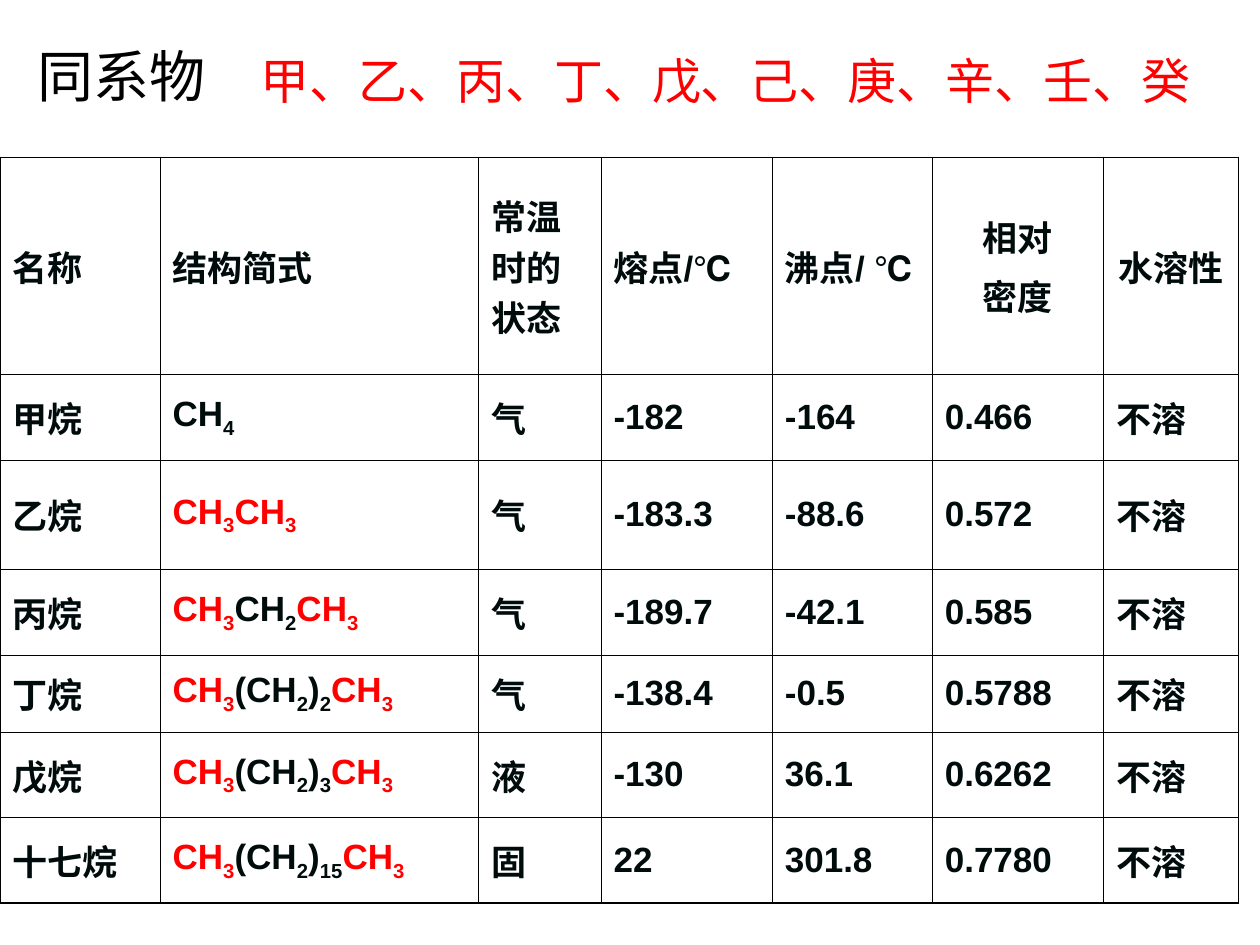
from dataclasses import dataclass
from itertools import groupby

from lxml import etree
from pptx import Presentation
from pptx.dml.color import RGBColor
from pptx.enum.text import MSO_ANCHOR, MSO_AUTO_SIZE, PP_ALIGN
from pptx.oxml.ns import qn
from pptx.util import Inches, Pt

LEFT, CENTER = PP_ALIGN.LEFT, PP_ALIGN.CENTER
TOP, MIDDLE = MSO_ANCHOR.TOP, MSO_ANCHOR.MIDDLE
NO_AUTOFIT = MSO_AUTO_SIZE.NONE
TITLE_ONLY = 5


@dataclass(frozen=True)
class Theme:
    black: str = "000000"
    ink: str = "000C0C"
    red: str = "FF0000"
    latin: str = "Arial"
    chinese: str = "Noto Sans CJK SC"
    title_size: int = 32
    stems_size: int = 28
    cell_size: int = 20
    outer_line: float = 1.08
    inner_line: float = 0.45


THEME = Theme()

# Table grid, in inches
COLUMNS = [1.27, 2.53, 0.97, 1.36, 1.27, 1.36, 1.07]
ROWS = [1.72, 0.68, 0.87, 0.68, 0.61, 0.68, 0.68]
FORMULA_COLUMN = 1
CENTERED_HEADINGS = (5, 6)

HEADINGS = ["名称", "结构简式", "常温时的状态", "熔点/℃", "沸点/ ℃", "相对\n密度", "水溶性"]
# Each formula is a list of (text, colour); its digits become subscripts
METHYL = ("CH3", THEME.red)
ALKANES = [
    ["甲烷", [("CH4", THEME.ink)], "气", "-182", "-164", "0.466", "不溶"],
    ["乙烷", [METHYL, METHYL], "气", "-183.3", "-88.6", "0.572", "不溶"],
    ["丙烷", [METHYL, ("CH2", THEME.ink), METHYL], "气", "-189.7", "-42.1", "0.585", "不溶"],
    ["丁烷", [METHYL, ("(CH2)2", THEME.ink), METHYL], "气", "-138.4", "-0.5", "0.5788", "不溶"],
    ["戊烷", [METHYL, ("(CH2)3", THEME.ink), METHYL], "液", "-130", "36.1", "0.6262", "不溶"],
    ["十七烷", [METHYL, ("(CH2)15", THEME.ink), METHYL], "固", "22", "301.8", "0.7780", "不溶"],
]


def add_run(paragraph, text, size, color, latin=THEME.latin, bold=False, subscript=False):
    run = paragraph.add_run()
    run.text = text
    run.font.size = Pt(size)
    run.font.bold = bold
    run.font.color.rgb = RGBColor.from_string(color)
    run.font.name = latin
    properties = run._r.get_or_add_rPr()
    etree.SubElement(properties, qn("a:ea"), typeface=THEME.chinese)
    if subscript:
        properties.set("baseline", "-25000")


def add_formula(paragraph, parts):
    for text, color in parts:
        for is_digit, characters in groupby(text, str.isdigit):
            add_run(paragraph, "".join(characters), THEME.cell_size, color,
                    bold=True, subscript=is_digit)


def set_borders(cell, row, column):
    edges = {
        "a:lnL": column == 0,
        "a:lnR": column == len(COLUMNS) - 1,
        "a:lnT": row == 0,
        "a:lnB": row == len(ROWS) - 1,
    }
    properties = cell._tc.get_or_add_tcPr()
    for tag, is_outer in edges.items():
        width = THEME.outer_line if is_outer else THEME.inner_line
        line = etree.SubElement(properties, qn(tag), w=str(Pt(width)))
        fill = etree.SubElement(line, qn("a:solidFill"))
        etree.SubElement(fill, qn("a:srgbClr"), val=THEME.black)


def fill_cell(cell, content, alignment):
    cell.vertical_anchor = MIDDLE
    frame = cell.text_frame
    if isinstance(content, list):
        add_formula(frame.paragraphs[0], content)
        return
    for index, text in enumerate(content.split("\n")):
        paragraph = frame.add_paragraph() if index else frame.paragraphs[0]
        paragraph.alignment = alignment
        if index:
            paragraph.space_before = Pt(5)
        add_run(paragraph, text, THEME.cell_size, THEME.ink, bold=True)


def place_title(slide, left, top, width, height):
    title = slide.shapes.title
    title.left, title.top = Inches(left), Inches(top)
    title.width, title.height = Inches(width), Inches(height)
    frame = title.text_frame
    frame.auto_size = NO_AUTOFIT
    frame.vertical_anchor = TOP
    frame.word_wrap = True
    paragraph = frame.paragraphs[0]
    paragraph.alignment = LEFT
    add_run(paragraph, "同系物", THEME.title_size, THEME.black)


def place_stems(slide, left, top, width, height):
    box = slide.shapes.add_textbox(Inches(left), Inches(top), Inches(width), Inches(height))
    box.text_frame.word_wrap = False
    add_run(box.text_frame.paragraphs[0], "、".join("甲乙丙丁戊己庚辛壬癸"),
            THEME.stems_size, THEME.red, latin=THEME.chinese)


def place_alkane_table(slide, left, top, width, height):
    frame = slide.shapes.add_table(len(ROWS), len(COLUMNS), Inches(left), Inches(top),
                                   Inches(width), Inches(height))
    table = frame.table
    table.first_row = table.horz_banding = False
    for column, share in zip(table.columns, COLUMNS):
        column.width = Inches(width * share / sum(COLUMNS))
    for row, share in zip(table.rows, ROWS):
        row.height = Inches(height * share / sum(ROWS))

    for row, contents in enumerate([HEADINGS, *ALKANES]):
        for column, content in enumerate(contents):
            cell = table.cell(row, column)
            centered = row == 0 and column in CENTERED_HEADINGS
            set_borders(cell, row, column)
            cell.fill.background()
            fill_cell(cell, content, CENTER if centered else LEFT)


def main():
    presentation = Presentation()
    presentation.slide_width, presentation.slide_height = Inches(10), Inches(7.5)
    slide = presentation.slides.add_slide(presentation.slide_layouts[TITLE_ONLY])

    # Heading line, then the table of properties
    place_title(slide, 0.2, 0.28, 4.22, 0.64)
    place_alkane_table(slide, 0, 1.25, sum(COLUMNS), sum(ROWS))
    place_stems(slide, 1.97, 0.35, 7.58, 0.57)

    presentation.save("out.pptx")


if __name__ == "__main__":
    main()
